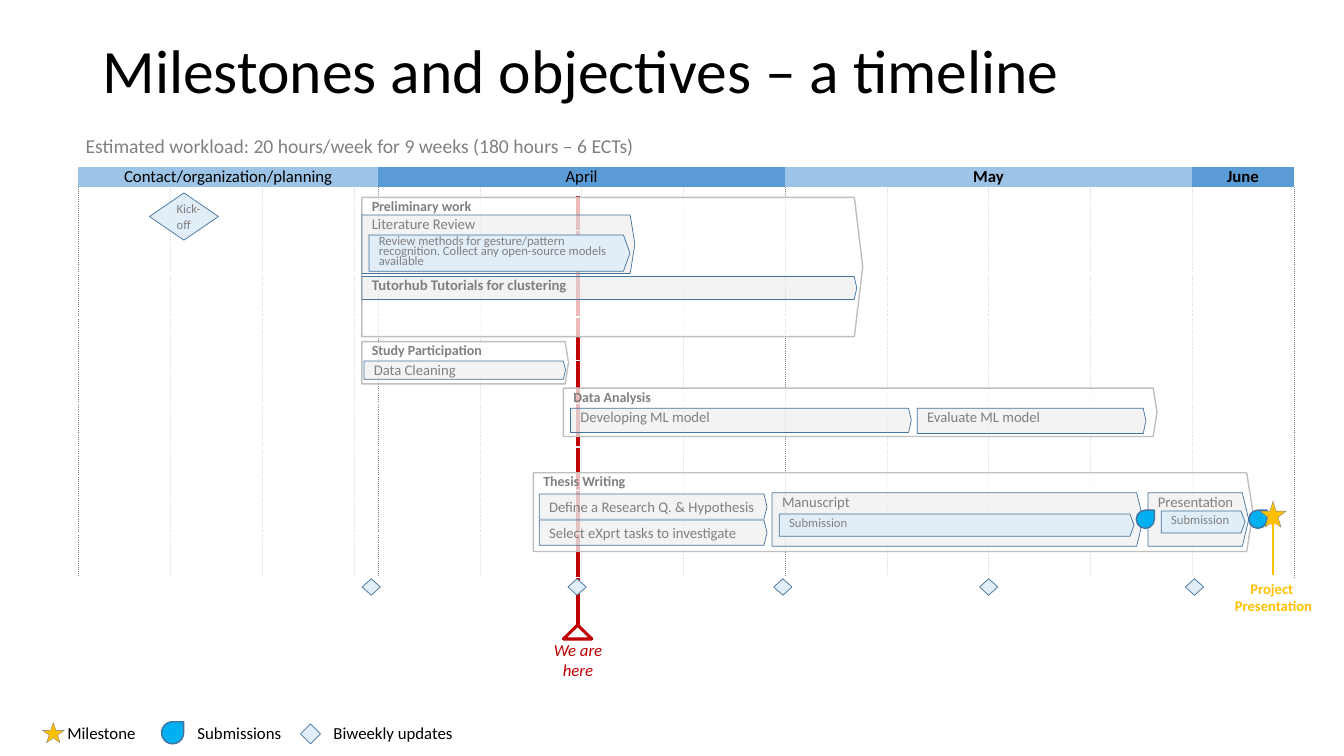
import pptx
import pptx.util
import pptx.dml.color
import pptx.enum.shapes
import pptx.enum.text
import pptx.oxml
import pptx.oxml.ns
import lxml.etree

Pt = pptx.util.Pt
RGB = pptx.dml.color.RGBColor
Form = pptx.enum.shapes.MSO_SHAPE
Align = pptx.enum.text.PP_ALIGN
Anchor = pptx.enum.text.MSO_ANCHOR
qn = pptx.oxml.ns.qn

BLACK, WHITE = RGB(0, 0, 0), RGB(255, 255, 255)
GREY, SILVER, PALE = RGB(0x80, 0x80, 0x80), RGB(0xBF, 0xBF, 0xBF), RGB(0xD9, 0xD9, 0xD9)
SKY, BLUE, ICE = RGB(0x9D, 0xC3, 0xE6), RGB(0x5B, 0x9B, 0xD5), RGB(0xE1, 0xED, 0xF7)
NAVY, CYAN = RGB(0x43, 0x73, 0x9E), RGB(0, 0xB0, 0xF0)
GOLD, RED = RGB(0xFF, 0xC0, 0), RGB(0xC0, 0, 0)

# Content: month, columns spanned, fill, bold
MONTHS = [
    ("Contact/organization/planning", 4, SKY, False),
    ("April", 4, BLUE, False),
    ("May", 4, SKY, True),
    ("June", 1, BLUE, True),
]
WIDTHS = [65.6] * 3 + [2.9] + [72.7] * 9
ROWS = 9
EDGES = (0, 4, 8, 13)

# Bar looks: fill, opacity %, line, line width, text format
MID = Anchor.MIDDLE
LOOKS = {
    "phase": (WHITE, 73, SILVER, 1, dict(size=10, bold=True)),
    "task": (PALE, 30, NAVY, 0.5, dict(size=10.5, top=7.2, lead=5)),
    "head": (PALE, 30, NAVY, 0.5, dict(size=10.5)),
    "step": (ICE, 100, NAVY, 0.5, dict(size=9, lead=7, anchor=MID)),
    "note": (None, 100, None, 0, dict(size=14, top=7.2, lead=5)),
}
# text, look, left, top, width, height, point, extra format
BARS = [
    ("Study Participation", "phase", 258.5, 244, 147.6, 30.2, 0.08, {}),
    ("Data Cleaning", "task", 260, 257.8, 144, 13, 0.12, {}),
    ("Estimated workload: 20 hours/week for 9 weeks (180 hours – 6 ECTs)",
     "note", 54, 100, 706.3, 13.7, 0.12, {}),
    ("Thesis Writing", "phase", 381, 337.7, 514, 56.2, 0.08, {}),
    ("Define a Research Q. & Hypothesis", "head", 385.2, 352.8, 162.7, 18, 0.12, dict(anchor=MID)),
    ("Select eXprt tasks to investigate", "task", 385.2, 371.5, 162.7, 18, 0.12, dict(anchor=MID)),
    ("Manuscript", "head", 551.5, 352, 265, 38.2, 0.12, {}),
    ("Presentation", "head", 820, 352, 72, 38.2, 0.12, {}),
    ("Preliminary work", "phase", 258.5, 141, 357.8, 99.4, 0.06, {}),
    ("Literature Review", "task", 258.5, 153.5, 195, 41.8, 0.08, {}),
    ("Tutorhub Tutorials for clustering", "task", 258.5, 197.5, 353.5, 16.5, 0.11, dict(bold=True)),
    ("Review methods for gesture/pattern recognition. Collect any open-source models available",
     "step", 263.5, 167.8, 186.5, 26, 0.18, {}),
    ("Submission", "step", 829.5, 365, 59.8, 15.8, 0.18, {}),
    ("Submission", "step", 556.6, 367.2, 253.4, 15.8, 0.18, {}),
    ("Data Analysis", "phase", 402.5, 277.2, 424, 34.6, 0.08, {}),
    ("Developing ML model", "task", 407.5, 291.6, 243.4, 17.3, 0.11, {}),
    ("Evaluate ML model", "task", 655.2, 291.6, 163.4, 18, 0.11, {}),
]
# Mark looks: form, fill, line, line width
MARKS = {
    "star": (Form.STAR_5_POINT, GOLD, GREY, 0.25),
    "drop": (Form.TEAR, CYAN, NAVY, 1),
    "gem": (Form.DIAMOND, ICE, NAVY, 0.5),
}
# label, label left, label width, mark, mark box
KEY = [
    ("Milestone", 41, 64, "star", (30.2, 516.2, 15.8, 14.4)),
    ("Submissions", 134, 75, "drop", (115.4, 515.5, 15.8, 15.8)),
    ("Biweekly updates", 231.1, 101, "gem", (214.6, 517, 14.4, 14.4)),
]

deck = pptx.Presentation()
deck.slide_width, deck.slide_height = Pt(960), Pt(540)
slide = deck.slides.add_slide(deck.slide_layouts[5])
parts = slide.shapes


def say(frame, text, size=12, color=GREY, bold=False, italic=False,
        align=Align.LEFT, anchor=Anchor.TOP, lead=None, left=7.2, top=0,
        right=0, bottom=0, wrap=True):
    frame.word_wrap = wrap
    frame.vertical_anchor = anchor
    frame.margin_left, frame.margin_top = Pt(left), Pt(top)
    frame.margin_right, frame.margin_bottom = Pt(right), Pt(bottom)
    for i, line in enumerate(text.split("\n")):
        para = frame.add_paragraph() if i else frame.paragraphs[0]
        para.alignment = align
        if lead:
            para.line_spacing = lead if lead < 2 else Pt(lead)
        run = para.add_run()
        run.text = line
        font = run.font
        font.name, font.size = "Calibri", Pt(size)
        font.bold, font.italic = bold, italic
        font.color.rgb = color


def draw(form, box, fill, line, width, alpha=100):
    shape = parts.add_shape(form, *map(Pt, box))
    shape.shadow.inherit = False
    if fill is None:
        shape.fill.background()
    else:
        shape.fill.solid()
        shape.fill.fore_color.rgb = fill
        if alpha < 100:
            tint = shape._element.spPr.find(qn("a:solidFill"))[0]
            lxml.etree.SubElement(tint, qn("a:alpha")).set("val", str(alpha * 1000))
    if line is None:
        shape.line.fill.background()
    else:
        shape.line.color.rgb = line
        shape.line.width = Pt(width)
    return shape


def mark(kind, box):
    return draw(MARKS[kind][0], box, *MARKS[kind][1:])


def label(text, box, **form):
    say(parts.add_textbox(*map(Pt, box)).text_frame, text,
        top=3.6, right=7.2, bottom=3.6, **form)


def rule(x, start, end, color, width):
    line = parts.add_connector(pptx.enum.shapes.MSO_CONNECTOR.STRAIGHT,
                               Pt(x), Pt(start), Pt(x), Pt(end))
    line.line.color.rgb, line.line.width = color, Pt(width)
    lxml.etree.SubElement(line._element.spPr, qn("a:effectLst"))
    return line


def border(cell, sides):
    props = cell._tc.get_or_add_tcPr()
    for i, (side, color, width, dash) in enumerate(sides):
        paint = (f'<a:solidFill><a:srgbClr val="{color}"/></a:solidFill><a:prstDash val="{dash}"/>'
                 if color else "<a:noFill/>")
        props.insert(i, pptx.oxml.parse_xml(
            f'<a:{side} xmlns:a="http://schemas.openxmlformats.org/drawingml/2006/main" '
            f'w="{int(width * 12700)}">{paint}</a:{side}>'))


# Marker for today, behind the calendar
here = draw(Form.ISOSCELES_TRIANGLE, (402.5, 446.4, 20.2, 10), WHITE, RED, 2.25)
today = rule(412.6, 446.4, 139.7, RED, 3)
today.begin_connect(here, 0)
label("We are\u0020here", (387.4, 453.6, 51, 38), color=RED, italic=True, align=Align.CENTER)

# Calendar
grid = parts.add_table(ROWS + 1, len(WIDTHS), Pt(56), Pt(119), Pt(sum(WIDTHS)), Pt(294)).table
grid.first_row = grid.horz_banding = False
for col, width in zip(grid.columns, WIDTHS):
    col.width = Pt(width)
for r, row in enumerate(grid.rows):
    row.height = Pt(31 if r else 14)
    for c, cell in enumerate(row.cells):
        cell.fill.background()
        tone = [GREY if edge in EDGES else PALE for edge in (c, c + 1)]
        border(cell, [
            ("lnL", r and tone[0], 0.25, "sysDot"),
            ("lnR", r and tone[1], 0.25, "sysDot"),
            ("lnT", r > 1 and WHITE, 1, "solid"),
            ("lnB", r and WHITE, 1, "solid"),
        ])
start = 0
for month, span, fill, bold in MONTHS:
    cell = grid.cell(0, start)
    if span > 1:
        cell.merge(grid.cell(0, start + span - 1))
    for c in range(start, start + span):
        part = grid.cell(0, c)
        part.fill.solid()
        part.fill.fore_color.rgb = fill
        part.margin_left = part.margin_right = part.margin_top = part.margin_bottom = 0
    cell.vertical_anchor = MID
    say(cell.text_frame, month, color=BLACK, bold=bold, align=Align.CENTER, left=0, wrap=None,
        anchor=None)
    cell.vertical_anchor = MID
    start += span

# Title
title = parts.title
title.left, title.top, title.width, title.height = map(Pt, (66, 0, 828, 104.4))
say(title.text_frame, "Milestones and objectives – a timeline", size=44, color=BLACK,
    anchor=MID, lead=0.9, top=3.6, right=7.2, bottom=3.6)

# Bars
for text, look, x, y, w, h, point, extra in BARS:
    fill, alpha, line, width, form = LOOKS[look]
    bar = draw(Form.PENTAGON, (x, y, w, h), fill, line, width, alpha)
    bar.adjustments[0] = point
    say(bar.text_frame, text, **{**form, **extra})

# Kick-off, biweekly updates and submissions
kick = mark("gem", (106.8, 137.8, 49.2, 33.8))
say(kick.text_frame, "Kick-off", size=9, anchor=MID)
for i in range(5):
    mark("gem", (258.7 + i * 147, 413.4, 13, 11.8))
for x in (811.6, 892):
    mark("drop", (x, 364.4, 13, 13))

# Final presentation
label("Project \nPresentation", (874, 410.4, 71.3, 32.4), size=10.5, color=GOLD, bold=True,
      align=Align.CENTER, wrap=False)
mark("star", (900, 358, 18.7, 18.7))
arrow = rule(909.4, 410.4, 368.6, GOLD, 1.5)
lxml.etree.SubElement(arrow.line._get_or_add_ln(), qn("a:tailEnd")).set("type", "triangle")

# Key
for text, x, w, kind, box in KEY:
    mark(kind, box)
    label(text, (x, 512.6, w, 21.6), color=BLACK, wrap=False)

deck.save("out.pptx")
